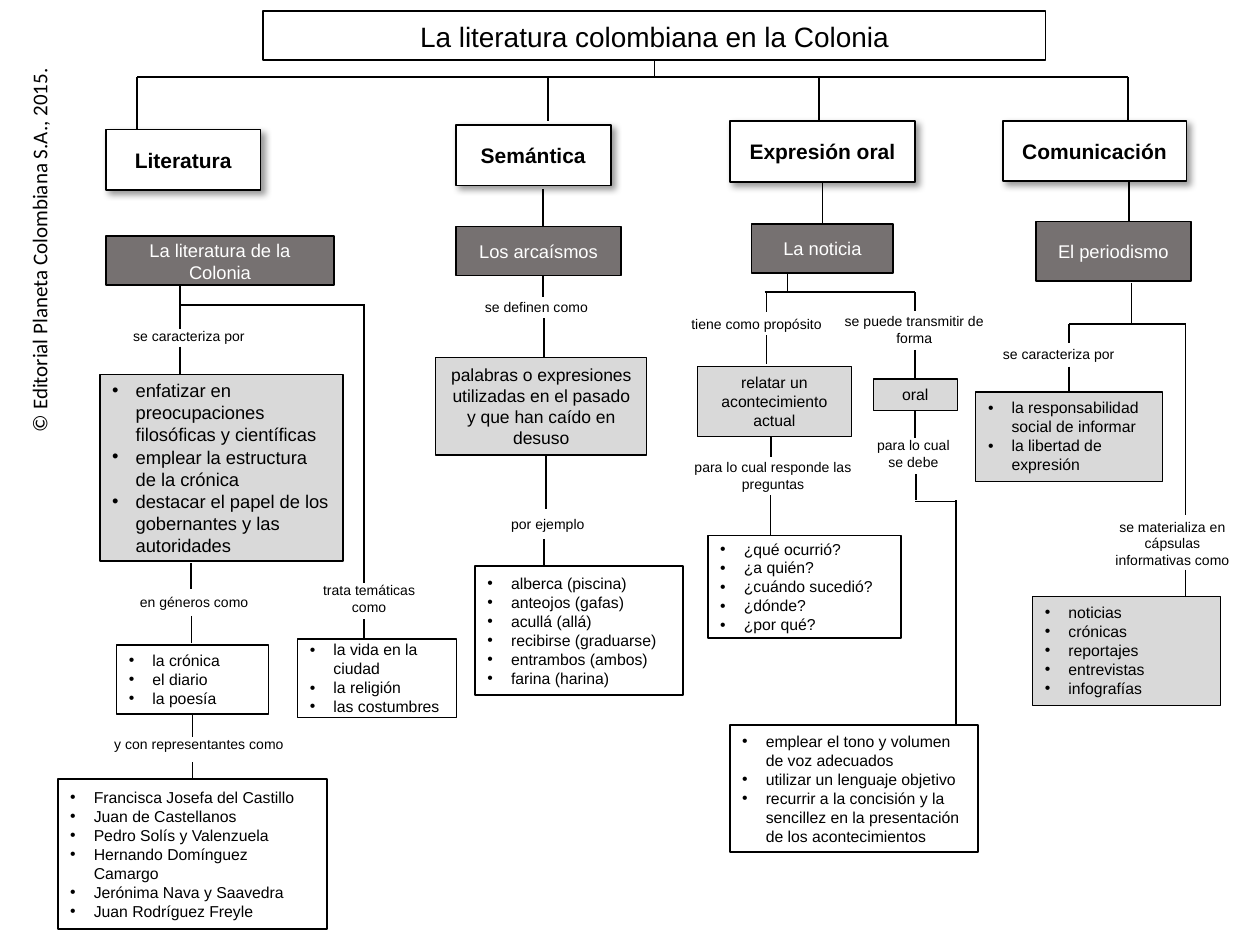
from dataclasses import dataclass
from typing import NamedTuple, Optional

import lxml.etree
import pptx
import pptx.dml.color
import pptx.enum.shapes
import pptx.enum.text
import pptx.oxml.ns
import pptx.util

Pt = pptx.util.Pt
RGBColor = pptx.dml.color.RGBColor
PP_ALIGN = pptx.enum.text.PP_ALIGN
MSO_ANCHOR = pptx.enum.text.MSO_ANCHOR
qn = pptx.oxml.ns.qn

BLACK = RGBColor(0x00, 0x00, 0x00)
WHITE = RGBColor(0xFF, 0xFF, 0xFF)
LIGHT = RGBColor(0xD9, 0xD9, 0xD9)
DARK = RGBColor(0x76, 0x71, 0x71)
TOP, BOTTOM = 0, 2


@dataclass(frozen=True)
class Style:
    size: float
    fill: RGBColor = WHITE
    color: RGBColor = BLACK
    line: float = 1
    bold: bool = False
    shadow: bool = False
    bullets: bool = False
    anchor: MSO_ANCHOR = MSO_ANCHOR.MIDDLE


class Box(NamedTuple):
    style: Style
    left: float
    top: float
    width: float
    height: float
    lines: tuple


class Caption(NamedTuple):
    left: float
    top: float
    width: float
    height: float
    lines: tuple
    align: PP_ALIGN = PP_ALIGN.CENTER


class Link(NamedTuple):
    x1: float
    y1: float
    x2: float
    y2: float
    begin: Optional[tuple] = None
    end: Optional[tuple] = None
    width: float = 1


TITLE = Style(16)
TOPIC = Style(12, bold=True, shadow=True)
CONCEPT = Style(10.5, fill=DARK, color=WHITE)
LIST = Style(9, bullets=True)
MAIN_LIST = Style(10.5, fill=LIGHT, bullets=True)
GRAY = Style(9, fill=LIGHT, line=0.75, anchor=MSO_ANCHOR.TOP)
GRAY_LARGE = Style(10, fill=LIGHT, line=0.75, anchor=MSO_ANCHOR.TOP)
GRAY_LIST = Style(9, fill=LIGHT, line=0.75, bullets=True, anchor=MSO_ANCHOR.TOP)

BOXES = {
    "title": Box(TITLE, 150.5, 6.5, 447, 28, ("La literatura colombiana en la Colonia",)),
    "literatura": Box(TOPIC, 60.5, 74, 88.5, 34.5, ("Literatura",)),
    "semantica": Box(TOPIC, 260.5, 71.5, 88.5, 34.5, ("Semántica",)),
    "expresion": Box(TOPIC, 417, 69, 106, 35, ("Expresión oral",)),
    "comunicacion": Box(TOPIC, 573, 69, 105, 34.5, ("Comunicación",)),
    "colonia": Box(CONCEPT, 60.5, 135, 130.5, 28, ("La literatura de la Colonia",)),
    "arcaismos": Box(CONCEPT, 260.5, 129.5, 94.5, 28, ("Los arcaísmos",)),
    "noticia": Box(CONCEPT, 429.5, 128, 81, 28, ("La noticia",)),
    "periodismo": Box(CONCEPT, 592, 126.5, 88.5, 34, ("El periodismo",)),
    "rasgos": Box(MAIN_LIST, 57, 214, 139, 106.5, (
        "enfatizar en preocupaciones filosóficas y científicas",
        "emplear la estructura de la crónica",
        "destacar el papel de los gobernantes y las autoridades")),
    "generos": Box(LIST, 66.5, 368.5, 87, 39.5, ("la crónica", "el diario", "la poesía")),
    "tematicas": Box(LIST, 170, 365, 91, 45,
                     ("la vida en la ciudad", "la religión", "las costumbres")),
    "autores": Box(LIST, 33, 445, 154, 86, (
        "Francisca Josefa del Castillo", "Juan de Castellanos",
        "Pedro Solís y Valenzuela", "Hernando Domínguez Camargo",
        "Jerónima Nava y Saavedra", "Juan Rodríguez Freyle")),
    "definicion": Box(GRAY_LARGE, 249, 204.5, 120.5, 55.5, (
        "palabras o expresiones utilizadas en el pasado y que han caído en desuso",)),
    "ejemplos": Box(LIST, 271.5, 323.5, 119, 73.5, (
        "alberca (piscina)", "anteojos (gafas)", "acullá (allá)",
        "recibirse (graduarse)", "entrambos (ambos)", "farina (harina)")),
    "proposito": Box(GRAY, 398.5, 209.5, 88, 40, ("relatar un acontecimiento actual",)),
    "oral": Box(GRAY, 499, 216.5, 48, 18, ("oral",)),
    "preguntas": Box(LIST, 404.5, 306, 110.5, 58.5, (
        "¿qué ocurrió?", "¿a quién?", "¿cuándo sucedió?", "¿dónde?", "¿por qué?")),
    "pautas": Box(LIST, 417, 414.5, 142, 72.5, (
        "emplear el tono y volumen de voz adecuados",
        "utilizar un lenguaje objetivo",
        "recurrir a la concisión y la sencillez en la presentación de los acontecimientos")),
    "valores": Box(GRAY_LIST, 557.5, 224, 107, 51, (
        "la responsabilidad social de informar", "la libertad de expresión")),
    "capsulas": Box(GRAY_LIST, 590, 341, 107.5, 62, (
        "noticias", "crónicas", "reportajes", "entrevistas", "infografías")),
}

CAPTIONS = [
    Caption(64, 183.5, 88, 17, ("se caracteriza por",)),
    Caption(67, 335.5, 88, 17, ("en géneros como",)),
    Caption(57, 417, 113.5, 17, ("y con representantes como",)),
    Caption(167, 329, 88, 27, ("trata temáticas como",)),
    Caption(270, 167, 97, 17, ("se definen como",), PP_ALIGN.LEFT),
    Caption(285, 291, 63, 17, ("por ejemplo",), PP_ALIGN.LEFT),
    Caption(388, 177, 105, 17, ("tiene como propósito",), PP_ALIGN.LEFT),
    Caption(474, 175, 97, 27, ("se puede transmitir de forma",)),
    Caption(389.5, 258.5, 104.5, 27, ("para lo cual responde las preguntas",)),
    Caption(469.5, 246, 105, 27, ("para lo cual", "se debe")),
    Caption(566, 194, 89, 17, ("se caracteriza por",), PP_ALIGN.LEFT),
    Caption(625.5, 292.5, 89, 36, ("se materializa en cápsulas informativas como",)),
]

LINKS = [
    Link(374, 34.5, 374, 44, begin=("title", BOTTOM)),
    Link(78.5, 44, 644.5, 44),
    Link(78.5, 44, 78.5, 74),
    Link(313, 44, 313, 69),
    Link(468, 44, 468, 69),
    Link(644.5, 44, 644.5, 69),
    Link(310.5, 108, 310.5, 130),
    Link(470, 104, 470, 128, ("expresion", BOTTOM), ("noticia", TOP)),
    Link(645, 104, 645, 126.5),
    Link(103, 163, 103, 188),
    Link(103, 174.5, 208, 174.5),
    Link(208, 174, 208, 333),
    Link(103, 198, 103, 214),
    Link(109, 322, 109, 336.5),
    Link(109.5, 352, 109.5, 367.5),
    Link(208, 354, 208, 365),
    Link(110, 408, 110, 421, begin=("generos", BOTTOM)),
    Link(110, 435.5, 110, 445, end=("autores", TOP)),
    Link(310.5, 158, 310.5, 170),
    Link(311, 182, 311, 204),
    Link(312, 260, 312, 291, width=0.75),
    Link(311, 308, 311, 323.5),
    Link(450, 156, 450, 167),
    Link(437, 167, 523, 167),
    Link(438, 167, 438, 178.5),
    Link(523, 167, 523, 178),
    Link(438, 191.5, 438, 208),
    Link(523, 200, 523, 216.5, end=("oral", TOP)),
    Link(440.5, 249.5, 440.5, 261),
    Link(440.5, 283, 440.5, 306, width=0.75),
    Link(523, 234.5, 523, 250.5, begin=("oral", BOTTOM)),
    Link(523.5, 271, 523.5, 286),
    Link(523, 286.5, 546.5, 286.5),
    Link(546.5, 286, 546.5, 414.5),
    Link(646.5, 161.5, 646.5, 185),
    Link(611, 185, 677.5, 185),
    Link(611, 185, 611, 196),
    Link(611, 209.5, 611, 224, end=("valores", TOP)),
    Link(677.5, 185, 677.5, 294.5),
    Link(677.5, 325.5, 677.5, 341),
]


def apply(obj, values: dict) -> None:
    for key, value in values.items():
        setattr(obj, key, value)


def add_bullet(p) -> None:
    pPr = p._p.get_or_add_pPr()
    pPr.set("marL", str(Pt(13.5)))
    pPr.set("indent", str(Pt(-13.5)))
    lxml.etree.SubElement(pPr, qn("a:buFont"), typeface="Arial")
    lxml.etree.SubElement(pPr, qn("a:buChar"), char="•")


def write(tf, lines: tuple, align: PP_ALIGN, font: dict, bullets: bool = False) -> None:
    for i, line in enumerate(lines):
        p = tf.paragraphs[0] if i == 0 else tf.add_paragraph()
        p.alignment = align
        if bullets:
            add_bullet(p)
        r = p.add_run()
        r.text = line
        color = font["color"]
        apply(r.font, {k: v for k, v in font.items() if k != "color"})
        r.font.color.rgb = color


def add_shadow(sp) -> None:
    effects = sp._element.spPr.find(qn("a:effectLst"))
    shadow = lxml.etree.SubElement(effects, qn("a:outerShdw"), blurRad=str(Pt(4)),
                                   dist=str(Pt(3)), dir="2700000", algn="tl", rotWithShape="0")
    color = lxml.etree.SubElement(shadow, qn("a:srgbClr"), val=str(BLACK))
    lxml.etree.SubElement(color, qn("a:alpha"), val="40000")


def add_box(s, box: Box):
    style = box.style
    sp = s.shapes.add_shape(pptx.enum.shapes.MSO_SHAPE.RECTANGLE, *map(Pt, box[1:5]))
    sp.shadow.inherit = False
    sp.fill.solid()
    sp.fill.fore_color.rgb = style.fill
    sp.line.color.rgb = BLACK
    sp.line.width = Pt(style.line)
    if style.shadow:
        add_shadow(sp)
    apply(sp.text_frame, {"word_wrap": True, "vertical_anchor": style.anchor})
    font = {"name": "Arial", "size": Pt(style.size), "bold": style.bold, "color": style.color}
    align = PP_ALIGN.LEFT if style.bullets else PP_ALIGN.CENTER
    write(sp.text_frame, box.lines, align, font, style.bullets)
    return sp


def add_caption(s, caption: Caption) -> None:
    tf = s.shapes.add_textbox(*map(Pt, caption[:4])).text_frame
    tf.word_wrap = True
    write(tf, caption.lines, caption.align, {"name": "Arial", "size": Pt(8), "color": BLACK})


def add_link(s, link: Link, shapes: dict) -> None:
    cxn = s.shapes.add_connector(pptx.enum.shapes.MSO_CONNECTOR.STRAIGHT, *map(Pt, link[:4]))
    cxn.line.color.rgb = BLACK
    cxn.line.width = Pt(link.width)
    lxml.etree.SubElement(cxn._element.spPr, qn("a:effectLst"))
    for joint, connect in ((link.begin, cxn.begin_connect), (link.end, cxn.end_connect)):
        if joint:
            connect(shapes[joint[0]], joint[1])


def add_copyright(s) -> None:
    tb = s.shapes.add_textbox(Pt(-90), Pt(131), Pt(224.5), Pt(21.5))
    tb.rotation = 270
    tb.text_frame.word_wrap = False
    write(tb.text_frame, ("© Editorial Planeta Colombiana S.A., 2015.",), PP_ALIGN.LEFT,
          {"name": "Calibri", "size": Pt(12), "color": BLACK})


def main() -> None:
    prs = pptx.Presentation()
    apply(prs, {"slide_width": Pt(720), "slide_height": Pt(540)})
    s = prs.slides.add_slide(prs.slide_layouts[6])
    add_copyright(s)
    shapes = {name: add_box(s, box) for name, box in BOXES.items()}
    for caption in CAPTIONS:
        add_caption(s, caption)
    for link in LINKS:
        add_link(s, link, shapes)
    prs.save("out.pptx")


if __name__ == "__main__":
    main()
